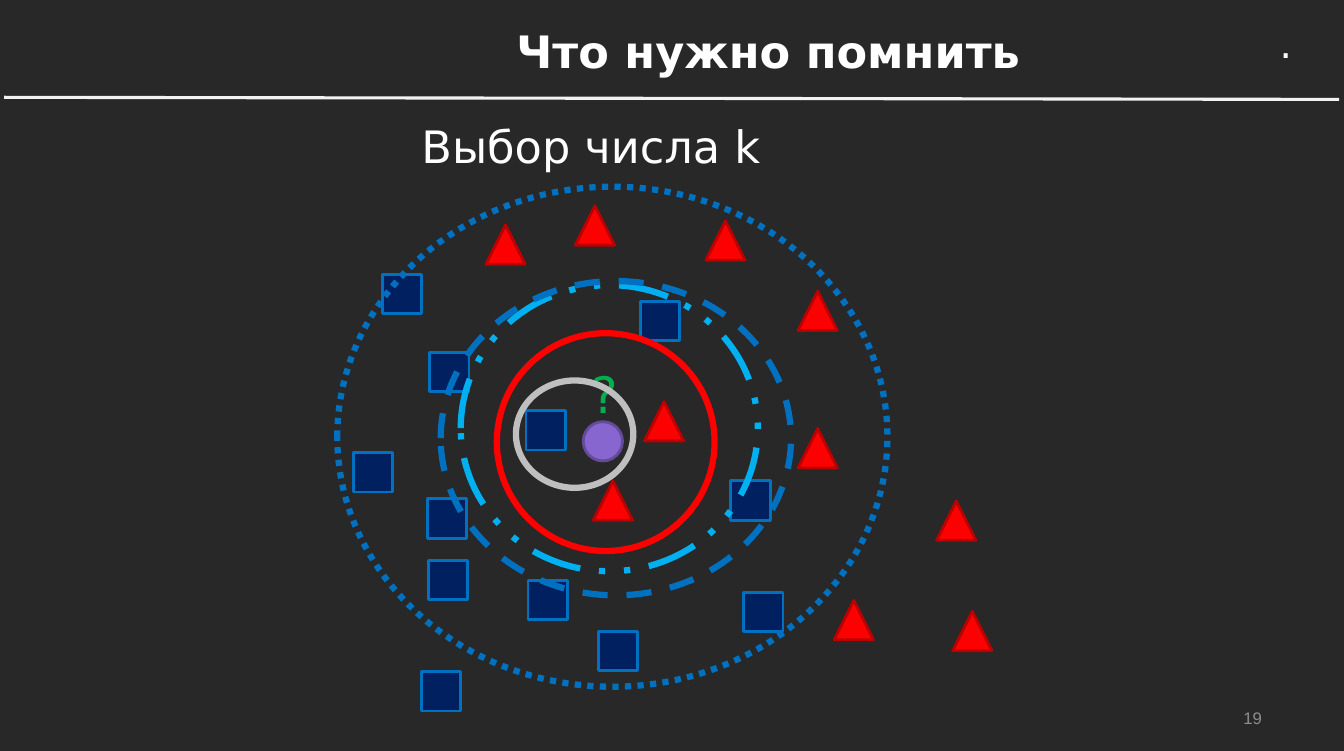
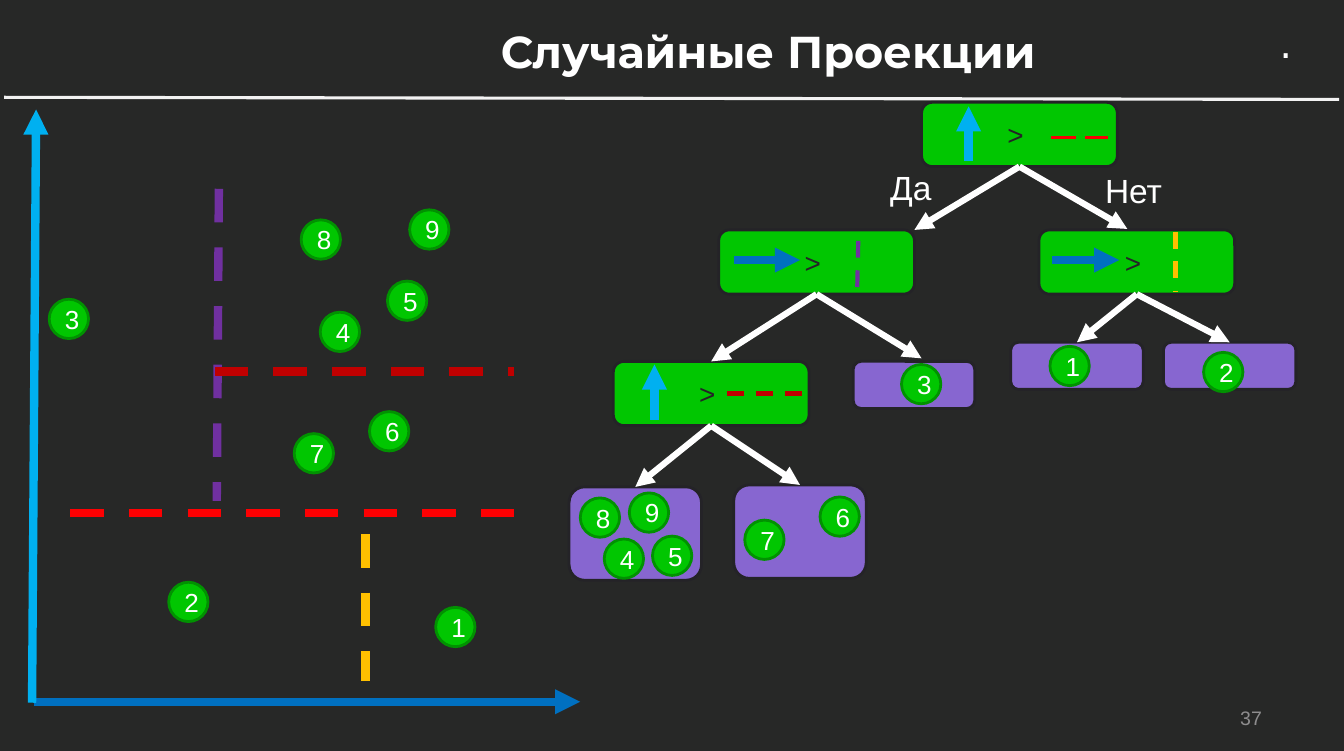
import pptx
import pptx.util
import pptx.dml.color
import pptx.enum.dml
import pptx.enum.shapes
import pptx.enum.text
import pptx.oxml.ns
import lxml.etree

Pt = pptx.util.Pt
Shape = pptx.enum.shapes.MSO_SHAPE
Dash = pptx.enum.dml.MSO_LINE
Align = pptx.enum.text.PP_ALIGN
Anchor = pptx.enum.text.MSO_ANCHOR
qn = pptx.oxml.ns.qn


class Theme:
    back, white, rule, grey, silver = "272827", "FFFFFF", "F2F2F2", "8E8D8E", "BFBFBF"
    ink, navy, blue, sky = "242327", "002060", "0070C0", "00B0F0"
    red, maroon, flame, scarlet, wine = "FD0002", "BB0001", "FF0000", "F70002", "C00000"
    green, forest, mint = "01C601", "019201", "00B050"
    lilac, plum, purple, gold = "8766D0", "644B9A", "7030A0", "FFC000"
    arial, sans, brand = "Arial", "DejaVu Sans", "Montserrat"
    head, mark, dot, label, sign, digit = 32, 36, 27.9, 24, 20, 18.7
    edge, thin, mid, bold, thick = 2, 2.25, 3, 4.5, 6
    ball = 28.2


def put(slide, kind, box, fill=None, line=None, width=Theme.edge, dash=None, text=None,
        font=Theme.arial, size=Theme.digit, hue=Theme.white, bold=False,
        align=Align.CENTER, anchor=Anchor.MIDDLE, wrap=True):
    area = [Pt(n) for n in box]
    if kind is None:
        item = slide.shapes.add_textbox(*area)
    else:
        item = slide.shapes.add_shape(kind, *area)
        item.shadow.inherit = False
        if fill:
            item.fill.solid()
            item.fill.fore_color.rgb = pptx.dml.color.RGBColor.from_string(fill)
        else:
            item.fill.background()
        item.line.color.rgb = pptx.dml.color.RGBColor.from_string(line)
        item.line.width = Pt(width)
        if dash:
            item.line.dash_style = dash
    if text:
        frame = item.text_frame
        frame.word_wrap = wrap
        frame.vertical_anchor = anchor
        para = frame.paragraphs[0]
        para.alignment = align
        run = para.add_run()
        run.text = text
        run.font.name = font
        run.font.size = Pt(size)
        run.font.bold = bold
        run.font.color.rgb = pptx.dml.color.RGBColor.from_string(hue)
    return item


def link(slide, ends, hue, width, dash=None, arrow=False):
    wire = slide.shapes.add_connector(
        pptx.enum.shapes.MSO_CONNECTOR.STRAIGHT, *[Pt(n) for n in ends])
    wire.line.color.rgb = pptx.dml.color.RGBColor.from_string(hue)
    wire.line.width = Pt(width)
    if dash:
        wire.line.dash_style = dash
    if arrow:
        lxml.etree.SubElement(wire.get_or_add_ln(), qn("a:tailEnd"), type="triangle")
    lxml.etree.SubElement(wire.element.spPr, qn("a:effectLst"))
    return wire


deck = pptx.Presentation()
deck.slide_width = Pt(964)
deck.slide_height = Pt(538.6)

pages = []
for title, font, number, size in [
    ("Что нужно помнить", Theme.sans, "19", 12),
    ("Случайные Проекции", Theme.brand, "37", 14),
]:
    page = deck.slides.add_slide(deck.slide_layouts[6])
    page.background.fill.solid()
    page.background.fill.fore_color.rgb = pptx.dml.color.RGBColor.from_string(Theme.back)
    put(page, None, (688.3, 500.4, 223.9, 28.8), text=number, size=size,
        hue=Theme.grey, align=Align.RIGHT)
    link(page, (2.9, 69.8, 960.5, 71.3), Theme.rule, Theme.thin)
    put(page, None, (910.8, 10.8, 24.5, 41), text=".", font=Theme.sans, size=Theme.dot,
        align=Align.LEFT, anchor=Anchor.TOP, wrap=False)
    put(page, None, (247.7, 13.7, 607, 38.2), text=title, font=font, size=Theme.head,
        bold=True, anchor=Anchor.TOP)
    pages.append(page)

near, tree = pages

squares = [
    (377.3, 294.5), (459.4, 216), (524.2, 344.9), (274.3, 196.6), (307.4, 401.8),
    (429.1, 452.9), (533.5, 424.8), (302.4, 481.7), (378.7, 416.2), (306.7, 357.8),
    (253.4, 324.7), (308.2, 252.7),
]
peaks = [
    (412.6, 147.6), (462.2, 288), (348.5, 161.3), (506.2, 158.4), (572.4, 307.4),
    (671.8, 359.3), (598.3, 430.6), (425.5, 344.9), (683.3, 438.5), (572.4, 208.8),
]
for kind, spots, fill, line in [
    (Shape.RECTANGLE, squares, Theme.navy, Theme.blue),
    (Shape.ISOSCELES_TRIANGLE, peaks, Theme.red, Theme.maroon),
    (Shape.OVAL, [(418.3, 302.4)], Theme.lilac, Theme.plum),
]:
    for left, top in spots:
        put(near, kind, (left, top, Theme.ball, Theme.ball), fill, line)

put(near, None, (416.9, 257, 35.3, 51.1), text="?", font=Theme.sans, size=Theme.mark,
    hue=Theme.mint, align=Align.LEFT, anchor=Anchor.TOP, wrap=False)

for box, hue, dash in [
    ((356.4, 239, 156.2, 156.2), Theme.flame, None),
    ((330.5, 204.5, 213.1, 205.2), Theme.sky, Dash.DASH_DOT_DOT),
    ((316.1, 201.6, 251.3, 225.4), Theme.blue, Dash.DASH),
    ((241.9, 133.9, 394.6, 358.6), Theme.blue, Dash.ROUND_DOT),
    ((370.1, 272.9, 84.2, 77), Theme.silver, None),
]:
    put(near, Shape.OVAL, box, line=hue, width=Theme.bold, dash=dash)

put(near, None, (295.2, 82.1, 263.5, 46.1), text="Выбор числа k", font=Theme.sans,
    size=Theme.head, align=Align.LEFT, anchor=Anchor.TOP, wrap=False)

nodes = {}
for name, left, top in [
    ("root", 661, 73.4), ("right", 745.2, 164.9), ("left", 515.5, 164.9), ("low", 439.9, 259.2),
]:
    nodes[name] = put(tree, Shape.ROUNDED_RECTANGLE, (left, top, 140.4, 46.1),
                      Theme.green, Theme.ink, text="> ", size=Theme.sign, hue=Theme.ink)
for name, box in [
    ("one", (725, 245.5, 95, 33.8)),
    ("two", (834.5, 245.5, 95, 33.8)),
    ("three", (612, 259.2, 87.1, 33.8)),
    ("pair", (526.3, 347.8, 95, 67)),
    ("four", (408.2, 349.2, 95, 67)),
]:
    nodes[name] = put(tree, Shape.ROUNDED_RECTANGLE, box, Theme.lilac, Theme.ink)

for start, goal in [
    ("root", (655.9, 164.9)), ("root", (808.6, 164.2)),
    ("left", "low"), ("left", (661, 257)),
    ("right", "one"), ("right", "two"),
    ("low", "four"), ("low", "pair"),
]:
    tip = (0, 0) if goal in nodes else goal
    wire = link(tree, (0, 0, *tip), Theme.white, Theme.bold, arrow=True)
    wire.begin_connect(nodes[start], 2)
    if goal in nodes:
        wire.end_connect(nodes[goal], 0)

for text, box in [("Да", (631.4, 116.6, 58.3, 36)), ("Нет", (785.5, 118.1, 80.6, 36))]:
    put(tree, None, box, text=text, size=Theme.label, align=Align.LEFT, anchor=Anchor.TOP)

for ends, hue, width, dash in [
    ((50.4, 367.9, 386.6, 367.9), Theme.red, Theme.thick, Dash.DASH),
    ((262.1, 383, 262.1, 488.2), Theme.gold, Theme.thick, Dash.DASH),
    ((157, 135.4, 155.5, 359.3), Theme.purple, Theme.thick, Dash.DASH),
    ((154.1, 266.4, 368.6, 266.4), Theme.wine, Theme.thick, Dash.DASH),
    ((753.8, 98.6, 794.9, 98.6), Theme.scarlet, Theme.thin, Dash.LONG_DASH),
    ((843.1, 166.3, 843.1, 209.5), Theme.gold, Theme.mid, Dash.DASH),
    ((615.6, 172.8, 614.9, 205.9), Theme.purple, Theme.mid, Dash.DASH),
    ((521.3, 282.2, 578.9, 282.2), Theme.wine, Theme.mid, Dash.DASH),
]:
    link(tree, ends, hue, width, dash)

for ends, hue in [
    ((24.5, 503.3, 416.2, 503.3), Theme.blue),
    ((23, 504, 25.9, 78.5), Theme.sky),
    ((694.8, 115.2, 694.8, 76.3), Theme.sky),
    ((754.6, 186.5, 802.8, 186.5), Theme.blue),
    ((526.3, 186.5, 573.8, 186.5), Theme.blue),
    ((469.4, 301, 469.4, 261.4), Theme.sky),
]:
    link(tree, ends, hue, Theme.thick, arrow=True)

for digit, *spots in [
    ("1", (312.5, 435.6), (753.1, 248.4)),
    ("2", (121, 417.6), (863.3, 252.7)),
    ("3", (35.3, 214.6), (646.6, 261.4)),
    ("4", (229.7, 223.9), (433.4, 386.6)),
    ("5", (277.9, 201.6), (468, 384.5)),
    ("6", (265, 295.2), (588.2, 356.4)),
    ("7", (211, 311), (534.2, 373)),
    ("8", (216, 157.7), (416.2, 357.1)),
    ("9", (293.8, 150.5), (451.4, 353.5)),
]:
    for left, top in spots:
        put(tree, Shape.OVAL, (left, top, Theme.ball, Theme.ball),
            Theme.green, Theme.forest, text=digit)

deck.save("out.pptx")
